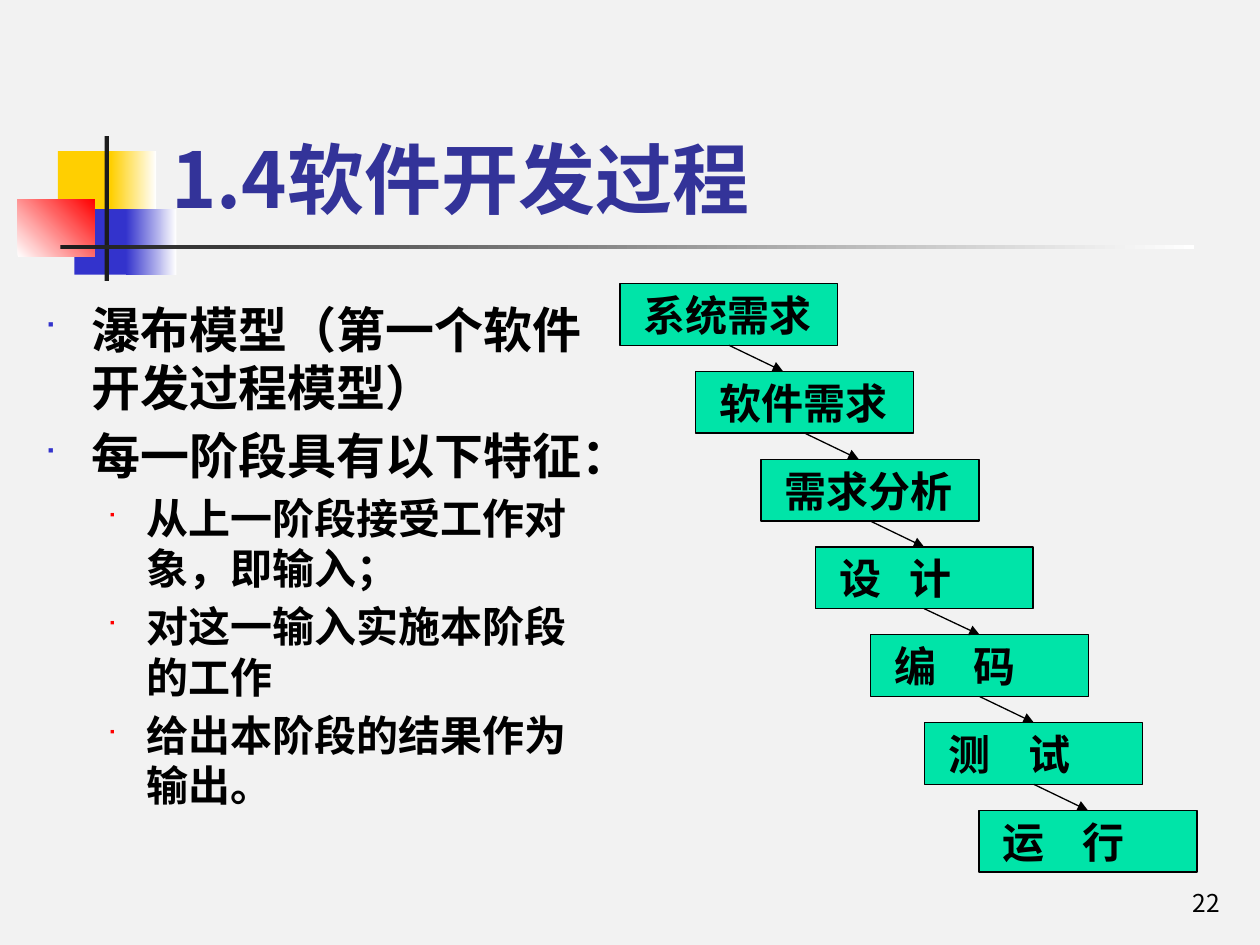
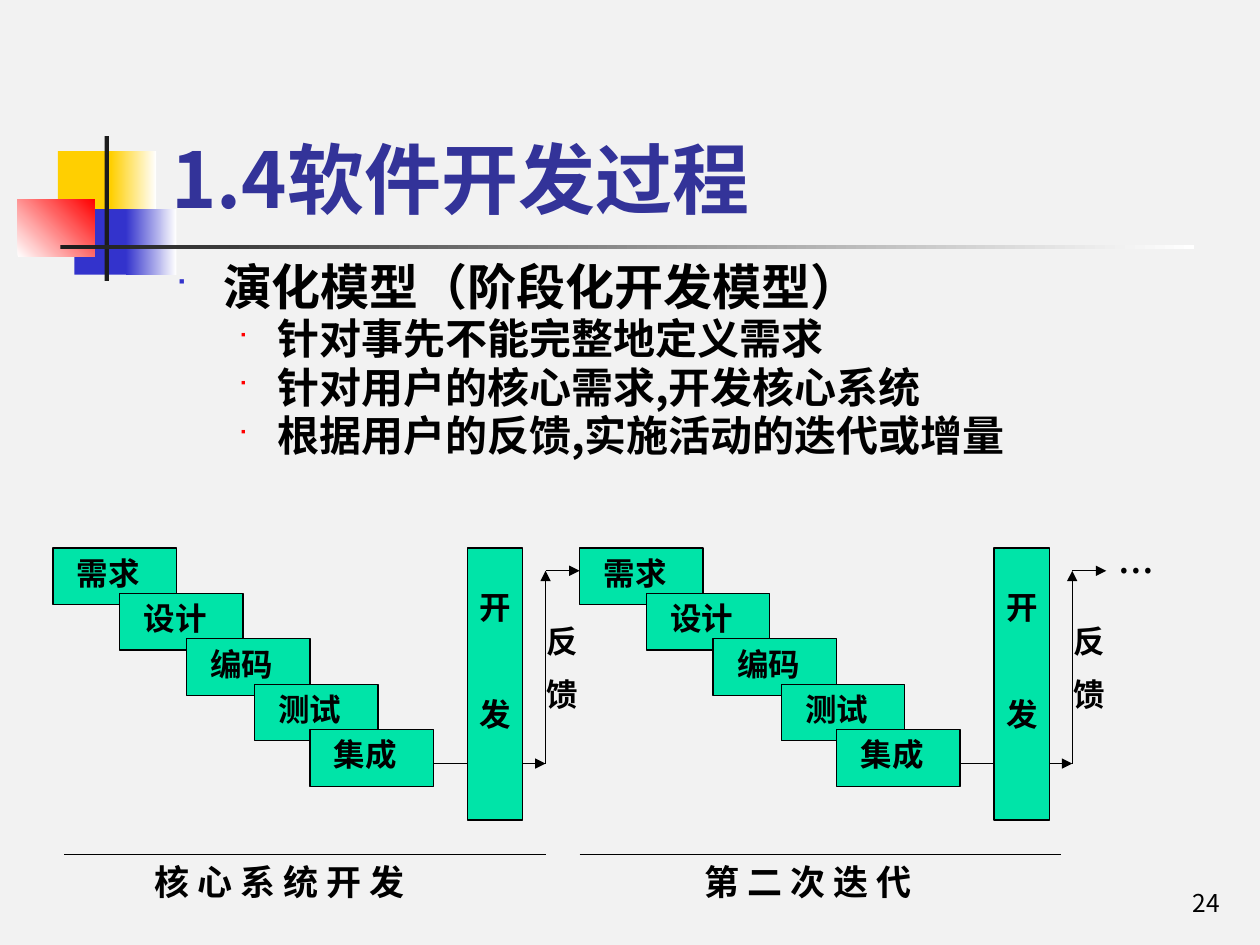
from lxml import etree
from pptx import Presentation
from pptx import util as u
from pptx.dml.color import RGBColor
from pptx.enum import shapes, text
from pptx.oxml.ns import qn

COLORS = {
    "background": "F2F2F2",
    "yellow": "FFCF01",
    "blue": "3333CC",
    "red": "FF0000",
    "white": "FFFFFF",
    "ink": "1C1C1C",
    "title": "333399",
    "text": "000000",
    "stage": "00E4A8",
}
FONT = "Noto Sans CJK SC"
COLUMNS, ROWS = 100, 75
LINE_HEIGHT = 1.19


def rgb(name):
    return RGBColor.from_string(COLORS[name])


class Deck:
    """Holds the shared style and the current slide, measured on a 100 by 75 grid."""

    def __init__(self):
        self.presentation = Presentation()
        self.presentation.slide_width = u.Inches(10)
        self.presentation.slide_height = u.Inches(7.5)
        self.column = self.presentation.slide_width / COLUMNS
        self.row = self.presentation.slide_height / ROWS
        self.layout = self.presentation.slide_layouts[1]
        self.slide = None
        background = self.presentation.slide_master.background.fill
        background.solid()
        background.fore_color.rgb = rgb("background")

    def place(self, left, top, width, height):
        return (round(left * self.column), round(top * self.row),
                round(width * self.column), round(height * self.row))

    def start(self, title, number):
        first = self.slide is None
        self.slide = self.presentation.slides.add_slide(self.layout)
        if first:
            self.ornament()
        shape = self.slide.shapes.title
        self.move(shape, 12.6, 2.3, 85.2, 16)
        self.fill_text(shape, [title], 44, color="title", anchor=text.MSO_ANCHOR.BOTTOM)
        self.label([number], 77, 68.3, 20.8, 5, 14, bold=False,
                   anchor=text.MSO_ANCHOR.BOTTOM, align=text.PP_ALIGN.RIGHT)

    def ornament(self):
        parts = [
            (4.6, 12, 4.8, 5.2, "yellow", None, 0),
            (8.8, 12, 3.6, 5.2, "yellow", "white", 0),
            (5.9, 16.6, 4.6, 5.2, "blue", None, 0),
            (10, 16.6, 4, 5.2, "blue", "white", 0),
            (1.4, 15.8, 6.1, 4.6, "white", "red", 45),
            (8.3, 10.8, 0.35, 11.5, "ink", None, 0),
            (4.8, 19.45, 90, 0.35, "ink", "white", 0),
        ]
        for left, top, width, height, color, fade, angle in parts:
            shape = self.rectangle(left, top, width, height, color)
            if fade:
                shape.fill.gradient()
                shape.fill.gradient_angle = angle
                for stop, name in zip(shape.fill.gradient_stops, (color, fade)):
                    stop.color.rgb = rgb(name)
            self.layout.shapes.element.append(shape.element)

    def move(self, shape, *area):
        shape.left, shape.top, shape.width, shape.height = self.place(*area)

    def fill_text(self, shape, lines, size, color="text", bold=True, gap=0, tracking=0,
                  anchor=text.MSO_ANCHOR.TOP, align=text.PP_ALIGN.LEFT):
        frame = shape.text_frame
        frame.word_wrap = True
        frame.auto_size = text.MSO_AUTO_SIZE.NONE
        frame.vertical_anchor = anchor
        frame.text = "\n".join(lines)
        for index, paragraph in enumerate(frame.paragraphs):
            paragraph.alignment = align
            self.style(paragraph, size, color, bold, gap if index else 0, tracking)

    def style(self, paragraph, size, color="text", bold=True, gap=0, tracking=0,
              leading=LINE_HEIGHT):
        paragraph.line_spacing = u.Pt(round(size * leading, 1))
        paragraph.space_before = u.Pt(gap)
        font = paragraph.font
        font.name, font.size, font.bold = FONT, u.Pt(size), bold
        font.color.rgb = rgb(color)
        properties = paragraph._p.pPr.find(qn("a:defRPr"))
        etree.SubElement(properties, qn("a:ea"), typeface=FONT)
        if tracking:
            properties.set("spc", str(round(tracking * 100)))

    def bullets(self, items, *area, leading=LINE_HEIGHT):
        levels = [(0.38, -0.38, "blue", 60, 28), (0.81, -0.31, "red", 55, 24)]
        shape = self.slide.placeholders[1]
        self.move(shape, *area)
        frame = shape.text_frame
        frame.auto_size = text.MSO_AUTO_SIZE.NONE
        frame.text = "\n".join(item for level, item in items)
        for paragraph, (level, item) in zip(frame.paragraphs, items):
            margin, indent, color, share, size = levels[level]
            paragraph.level = level
            properties = paragraph._p.get_or_add_pPr()
            properties.set("marL", str(u.Inches(margin)))
            properties.set("indent", str(u.Inches(indent)))
            tint = etree.SubElement(properties, qn("a:buClr"))
            etree.SubElement(tint, qn("a:srgbClr"), val=COLORS[color])
            etree.SubElement(properties, qn("a:buSzPct"), val=str(share * 1000))
            etree.SubElement(properties, qn("a:buFont"), typeface="Wingdings")
            etree.SubElement(properties, qn("a:buChar"), char="■")
            self.style(paragraph, size, gap=size * 0.2, leading=leading)

    def label(self, lines, left, top, width, height, size, **style):
        shape = self.slide.shapes.add_textbox(*self.place(left, top, width, height))
        self.fill_text(shape, lines, size, **style)
        if "align" not in style:
            shape.text_frame.margin_right = 0

    def rectangle(self, left, top, width, height, color):
        shape = self.slide.shapes.add_shape(
            shapes.MSO_SHAPE.RECTANGLE, *self.place(left, top, width, height))
        shape.shadow.inherit = False
        shape.fill.solid()
        shape.fill.fore_color.rgb = rgb(color)
        shape.line.fill.background()
        return shape

    def stage(self, lines, left, top, width, height, size,
              inset=1.9, drop=0.5, **style):
        shape = self.rectangle(left, top, width, height, "stage")
        shape.line.color.rgb = rgb("text")
        shape.line.width = u.Pt(0.75)
        self.fill_text(shape, lines, size, **style)
        frame = shape.text_frame
        frame.margin_left = round(inset * self.column)
        frame.margin_top = round(drop * self.row)
        frame.margin_right = frame.margin_bottom = 0
        return shape

    def line(self, x1, y1, x2, y2, arrow=True):
        connector = self.slide.shapes.add_connector(
            shapes.MSO_CONNECTOR.STRAIGHT, *self.place(x1, y1, x2, y2))
        connector.line.color.rgb = rgb("text")
        connector.line.width = u.Pt(0.75)
        properties = connector.element.spPr
        if arrow:
            etree.SubElement(properties.find(qn("a:ln")), qn("a:tailEnd"), type="triangle")
        etree.SubElement(properties, qn("a:effectLst"))
        return connector


def waterfall(deck):
    width, height, top, step, reach = 17.3, 4.9, 22.5, 6.97, 4.3
    stages = [
        ("系统需求", 49.2, 0), ("软件需求", 55.2, 0), ("需求分析", 60.4, 0),
        ("设 计", 64.7, 5.4), ("编 码", 69.1, 8), ("测 试", 73.4, 8), ("运 行", 77.7, 8),
    ]
    boxes = [
        deck.stage([name], left, top + step * index, width, height, 24, tracking=tracking)
        for index, (name, left, tracking) in enumerate(stages)
    ]
    for index, (upper, lower) in enumerate(zip(boxes, boxes[1:])):
        center = stages[index][1] + width / 2
        base = top + step * index
        arrow = deck.line(center, base + height, center + reach, base + step)
        arrow.begin_connect(upper, 2)
        if abs(stages[index + 1][1] - stages[index][1] - reach) < 0.2:
            arrow.end_connect(lower, 0)


def iteration(deck, start, caption, caption_left, rule_left):
    lefts = [0, 5.3, 10.6, 16, 20.4]
    names = ["需求", "设计", "编码", "测试", "集成"]
    top, step, flow, back = 43.5, 3.6, 60.6, 45.3
    pillar, loop, following = start + 32.9, start + 39.1, start + 41.8
    for index, (name, left) in enumerate(zip(names, lefts)):
        deck.stage([name], start + left, top + step * index, 9.8, 4.5, 18)
    deck.stage(["开", "发"], pillar, top, 4.4, 21.6, 18, inset=1, drop=3.2, gap=40)
    deck.line(start + 30.2, flow, pillar, flow, arrow=False)
    deck.line(pillar + 4.4, flow, loop, flow)
    deck.line(loop, flow, loop, back)
    deck.line(loop, back, following, back)
    deck.label(["反", "馈"], loop - 0.9, 48.9, 4.4, 10.1, 18, gap=9)
    deck.line(rule_left, 67.8, rule_left + 38.2, 67.8, arrow=False)
    deck.label([caption], caption_left, 67.8, 31.1, 4.4, 20)


def main():
    deck = Deck()
    deck.start("1.4软件开发过程", "22")
    deck.bullets([
        (0, "瀑布模型（第一个软件开发过程模型）"),
        (0, "每一阶段具有以下特征："),
        (1, "从上一阶段接受工作对象，即输入；"),
        (1, "对这一输入实施本阶段的工作"),
        (1, "给出本阶段的结果作为输出。"),
    ], 2.5, 23.3, 45.8, 45.8)
    waterfall(deck)

    deck.start("1.4软件开发过程", "24")
    deck.bullets([
        (0, "演化模型（阶段化开发模型）"),
        (1, "针对事先不能完整地定义需求"),
        (1, "针对用户的核心需求,开发核心系统"),
        (1, "根据用户的反馈,实施活动的迭代或增量"),
    ], 12.9, 20.8, 85, 17.1, leading=LINE_HEIGHT * 0.8)
    iteration(deck, 4.2, "核 心 系 统 开 发", 11.3, 5.1)
    iteration(deck, 46, "第 二 次 迭 代", 54.9, 46)
    deck.label(["..."], 87.8, 41.7, 8.9, 5.1, 24, bold=False)
    deck.presentation.save("out.pptx")


if __name__ == "__main__":
    main()
